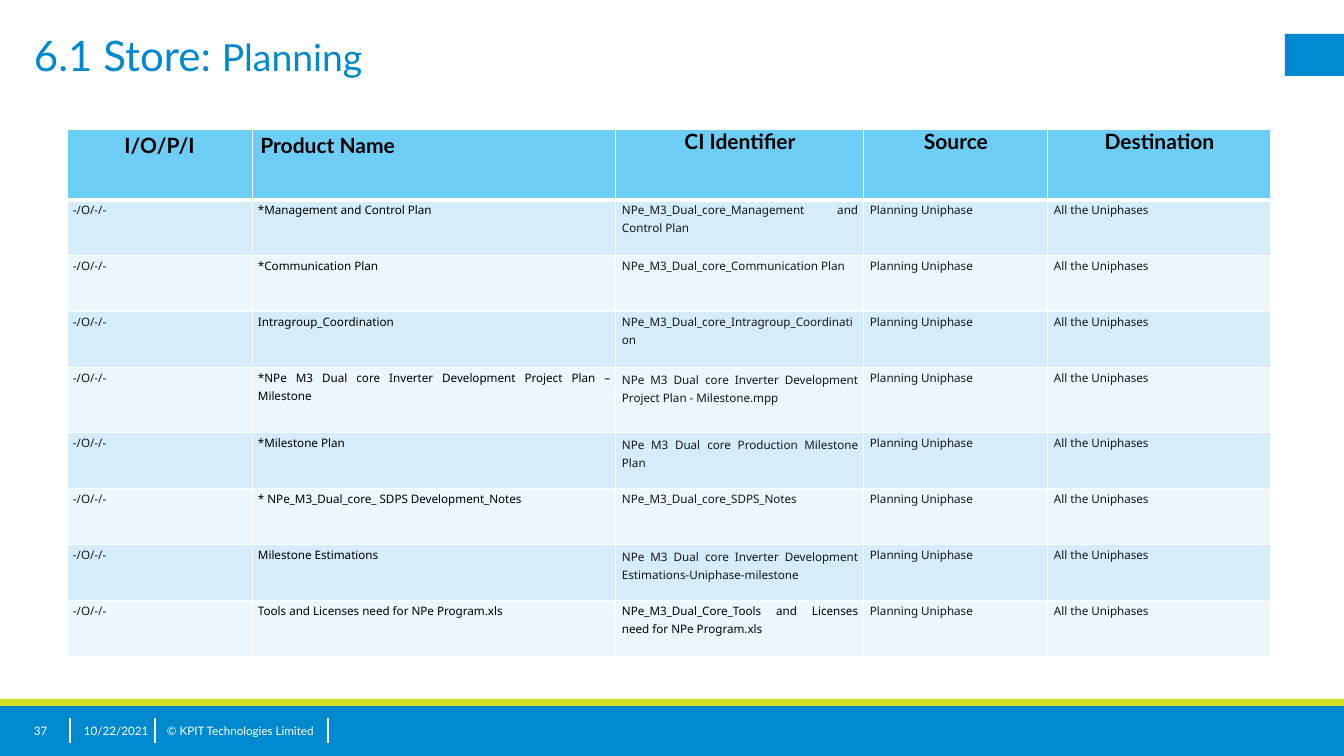
from lxml.etree import SubElement
from pptx import Presentation
from pptx.dml.color import RGBColor
from pptx.enum.shapes import MSO_CONNECTOR as CONNECTOR, MSO_SHAPE as SHAPE
from pptx.enum.text import MSO_ANCHOR as ANCHOR, PP_ALIGN as ALIGN
from pptx.oxml.ns import qn
from pptx.util import Emu, Pt

PX_PER_INCH = 84
COLORS = {
    "blue": "0089CF", "lime": "D7DF23", "white": "FFFFFF", "black": "000000",
    "ink": "161718", "header": "6ECDF5", "band_dark": "D5EDFB", "band_light": "EBF6FD",
}
HEAD_FONT, BODY_FONT = "Lato", "Noto Sans"

COL_WIDTHS = [185, 364, 248, 184, 223]
HEADER_HEIGHT, ROW_HEIGHT, TALL_ROW_HEIGHT = 71, 56, 65
TALL_ROW = 4
HEADERS = ["I/O/P/I", "Product Name", "CI Identifier", "Source", "Destination"]
# Each item: product name, then the pieces of its CI identifier
PRODUCTS = [
    ("*Management and Control Plan", ["NPe_M3_Dual_core_Management and Control Plan"]),
    ("*Communication Plan", ["NPe_M3_Dual_core_Communication Plan"]),
    ("Intragroup_Coordination", ["NPe_M3_Dual_core_Intragroup_Coordination"]),
    ("*NPe M3 Dual core Inverter Development Project Plan – Milestone",
     ["NPe M3 Dual", "core Inverter Development Project Plan - Milestone.mpp"]),
    ("*Milestone Plan", ["NPe M3 Dual", "core Production Milestone Plan"]),
    ("* NPe_M3_Dual_core_ SDPS Development_Notes", ["NPe_M3_Dual_core_SDPS_Notes"]),
    ("Milestone Estimations",
     ["NPe M3 Dual", "core Inverter Development Estimations-Uniphase-milestone"]),
    ("Tools and Licenses need for NPe Program.xls",
     ["NPe_M3_Dual_Core_Tools and Licenses need for NPe Program.xls"]),
]


def px(n):
    return Emu(round(n * 914400 / PX_PER_INCH))


def rgb(name):
    return RGBColor.from_string(COLORS[name])


def add_run(p, text, size, color, font=HEAD_FONT, bold=False):
    r = p.add_run()
    r.text = text
    r.font.size = Pt(size)
    r.font.name = font
    r.font.bold = bold
    r.font.color.rgb = rgb(color)


def add_rect(s, x, y, w, h, color):
    sp = s.shapes.add_shape(SHAPE.RECTANGLE, px(x), px(y), px(w), px(h))
    sp.shadow.inherit = False
    sp.fill.solid()
    sp.fill.fore_color.rgb = rgb(color)
    sp.line.fill.background()


def add_divider(s, x):
    line = s.shapes.add_connector(CONNECTOR.STRAIGHT, px(x), px(718), px(x), px(743))
    line.line.color.rgb = rgb("white")
    line.line.width = Pt(1)
    SubElement(line._element.spPr, qn("a:effectLst"))


def add_text(s, x, y, w, h, runs, color, anchor=ANCHOR.TOP):
    """Add a text box without insets; runs holds (text, size) pairs."""
    tf = s.shapes.add_textbox(px(x), px(y), px(w), px(h)).text_frame
    tf.word_wrap = True
    tf.margin_left = tf.margin_top = tf.margin_right = tf.margin_bottom = 0
    tf.vertical_anchor = anchor
    for text, size in runs:
        add_run(tf.paragraphs[0], text, size, color)


def style_cell(cell, fill, top=1, bottom=1):
    """Set white borders, in points, and the cell's fill."""
    tcPr = cell._tc.get_or_add_tcPr()
    for side, width in (("L", 1), ("R", 1), ("T", top), ("B", bottom)):
        ln = SubElement(tcPr, qn(f"a:ln{side}"), w=str(Pt(width)))
        color = SubElement(SubElement(ln, qn("a:solidFill")), qn("a:srgbClr"))
        color.set("val", COLORS["white"])
    cell.fill.solid()
    cell.fill.fore_color.rgb = rgb(fill)


def set_tight_margins(cell):
    cell.margin_left = cell.margin_right = px(6)
    cell.margin_top = cell.margin_bottom = 0


def fill_header_cell(cell, col, text):
    style_cell(cell, "header", bottom=3)
    if col > 1:
        set_tight_margins(cell)
    p = cell.text_frame.paragraphs[0]
    p.alignment = ALIGN.LEFT if col == 1 else ALIGN.CENTER
    add_run(p, text, 18, "black", bold=True)


def fill_body_cell(cell, row, pieces, color):
    """Write the pieces with a slightly larger space between them."""
    style_cell(cell, "band_dark" if row % 2 else "band_light", top=3 if row == 1 else 1)
    set_tight_margins(cell)
    p = cell.text_frame.paragraphs[0]
    p.alignment = ALIGN.JUSTIFY
    p.line_spacing = 1.15
    for i, piece in enumerate(pieces):
        if i:
            add_run(p, " ", 11, color, BODY_FONT)
        add_run(p, piece, 10, color, BODY_FONT)


def add_product_table(s):
    heights = [HEADER_HEIGHT] + [ROW_HEIGHT] * len(PRODUCTS)
    heights[TALL_ROW] = TALL_ROW_HEIGHT
    table = s.shapes.add_table(len(heights), len(COL_WIDTHS), px(67), px(129),
                               px(sum(COL_WIDTHS)), px(sum(heights))).table
    for column, width in zip(table.columns, COL_WIDTHS):
        column.width = px(width)
    for row, height in zip(table.rows, heights):
        row.height = px(height)
    for col, text in enumerate(HEADERS):
        fill_header_cell(table.cell(0, col), col, text)
    for row, (product, identifier) in enumerate(PRODUCTS, 1):
        id_color = "black" if row == len(PRODUCTS) else "ink"
        cells = [(["-/O/-/-"], "ink"), ([product], "black"), (identifier, id_color),
                 (["Planning Uniphase"], "ink"), (["All the Uniphases"], "ink")]
        for col, (pieces, color) in enumerate(cells):
            fill_body_cell(table.cell(row, col), row, pieces, color)


def add_footer(s):
    add_rect(s, 0, 706, 1344, 50, "blue")
    add_rect(s, 0, 699, 1344, 7, "lime")
    for x in (70, 155, 328):
        add_divider(s, x)
    for x, w, text in ((34, 34, "37"), (84, 67, "10/22/2021"),
                       (167, 152, "© KPIT Technologies Limited")):
        add_text(s, x, 718, w, 25, [(text, 10)], "white", ANCHOR.MIDDLE)


def main():
    prs = Presentation()
    prs.slide_width, prs.slide_height = px(1344), px(756)
    s = prs.slides.add_slide(prs.slide_layouts[6])
    add_rect(s, 1285, 34, 59, 42, "blue")
    add_footer(s)
    add_text(s, 34, 30, 1218, 67, [("6.1 Store: ", 36), ("Planning", 32)], "blue")
    add_product_table(s)
    prs.save("out.pptx")


if __name__ == "__main__":
    main()
